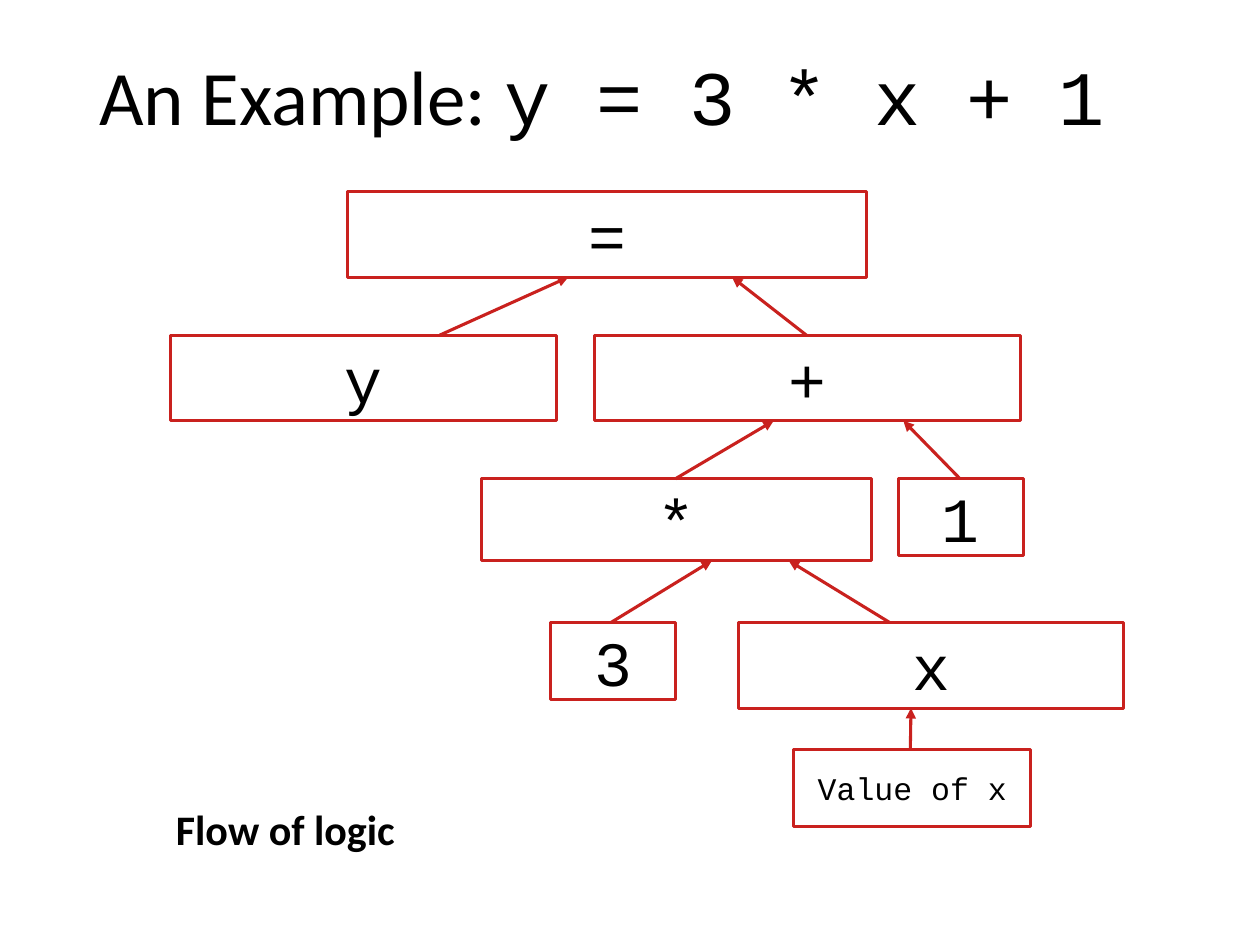
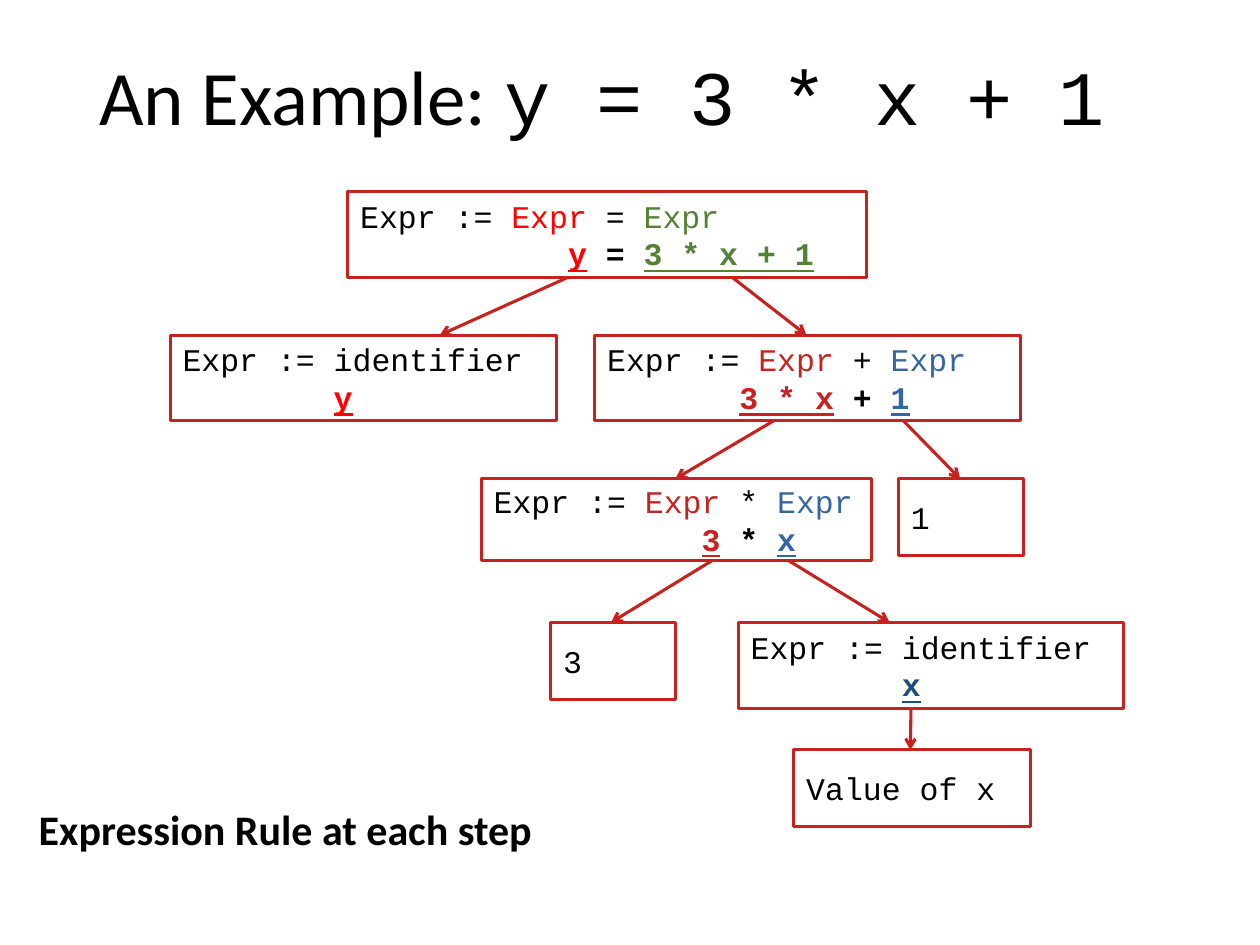
from dataclasses import dataclass

from lxml.etree import SubElement
from pptx import Presentation
from pptx.dml.color import RGBColor
from pptx.enum.shapes import MSO_CONNECTOR, MSO_SHAPE
from pptx.enum.text import MSO_ANCHOR as Anchor, PP_ALIGN as Align
from pptx.oxml.ns import qn
from pptx.util import Pt

BLACK = RGBColor(0x00, 0x00, 0x00)
WHITE = RGBColor(0xFF, 0xFF, 0xFF)
CRIMSON = RGBColor(0xC9, 0x21, 0x1E)
RED = RGBColor(0xFF, 0x00, 0x00)
GREEN = RGBColor(0x54, 0x82, 0x35)
BLUE = RGBColor(0x34, 0x65, 0xA4)
NAVY = RGBColor(0x1F, 0x4E, 0x79)

SANS, MONO = "Calibri", "Courier New"
CODE_SIZE, SYMBOL_SIZE = 18, 36
CHAR_WIDTH = 0.6 * CODE_SIZE  # advance of one monospaced letter
LINE_WIDTH = Pt(1.75)
FIRST_ROW, ROW_PITCH = 109.44, 82.08


@dataclass(frozen=True)
class Span:
    text: str
    color: RGBColor = BLACK


@dataclass(frozen=True)
class Line:
    """A line of code; a match is bold, with its coloured parts underlined."""
    spans: tuple[Span, ...]
    indent: int = 0  # in letters
    match: bool = False


@dataclass(frozen=True)
class Node:
    left: float
    top: float
    width: float
    height: float
    symbol: str
    rule: tuple[Line, ...]
    symbol_size: int = SYMBOL_SIZE

    @property
    def bottom(self) -> float:
        return self.top + self.height


@dataclass(frozen=True)
class Edge:
    parent: str
    child: str
    parent_x: float
    child_x: float


@dataclass(frozen=True)
class TreeSlide:
    caption: str
    show_rules: bool
    arrow_tag: str
    arrow_type: str


def row(index: int) -> float:
    return FIRST_ROW + index * ROW_PITCH


def plain(text: str) -> tuple[Line, ...]:
    return (Line((Span(text),)),)


def identifier(name: str, color: RGBColor) -> tuple[Line, ...]:
    return (*plain("Expr := identifier"),
            Line((Span(name, color),), indent=8, match=True))


def binary(left: str, op: str, right: str, indent: int,
           left_color: RGBColor, right_color: RGBColor) -> tuple[Line, ...]:
    """Rule for a binary operator, above the text that it matches."""
    def operands(first: str, second: str) -> tuple[Span, ...]:
        return (Span(first, left_color), Span(f" {op} "),
                Span(second, right_color))
    return (Line((Span("Expr := "), *operands("Expr", "Expr"))),
            Line(operands(left, right), indent, match=True))


# Syntax tree
NODES = {
    "assign": Node(198.72, row(0), 296.64, 48.96, "=",
                   binary("y", "=", "3 * x + 1", 11, RED, GREEN)),
    "y": Node(97.2, row(1), 220.68, 48.96, "y", identifier("y", RED)),
    "add": Node(339.84, row(1), 243.36, 48.96, "+",
                binary("3 * x", "+", "1", 7, CRIMSON, BLUE)),
    "multiply": Node(275.04, row(2), 223.2, 46.8, "*",
                     binary("3", "*", "x", 11, CRIMSON, BLUE)),
    "one": Node(513.36, row(2), 71.28, 43.92, "1", plain("1")),
    "three": Node(314.64, row(3), 71.28, 43.92, "3", plain("3")),
    "x": Node(421.92, row(3), 220.32, 48.96, "x", identifier("x", NAVY)),
    "value": Node(453.6, 428.4, 135.36, 43.92, "Value of x",
                  plain("Value of x"), CODE_SIZE),
}
EDGES = (
    Edge("assign", "y", 324.72, 251.28),
    Edge("assign", "add", 418.32, 460.8),
    Edge("add", "multiply", 442.08, 385.92),
    Edge("add", "one", 516.24, 548.64),
    Edge("multiply", "three", 406.8, 349.2),
    Edge("multiply", "x", 450.72, 508.32),
    Edge("x", "value", 520.56, 520.2),
)
SLIDES = (
    TreeSlide("Flow of logic", False, "a:headEnd", "triangle"),
    TreeSlide("Expression Rule at each step", True, "a:tailEnd", "arrow"),
)


def add_text_box(s, left: float, top: float, width: float, height: float,
                 anchor: Anchor):
    """Add a wrapping text box and return its first paragraph."""
    tf = s.shapes.add_textbox(Pt(left), Pt(top), Pt(width), Pt(height)).text_frame
    tf.word_wrap = True
    tf.vertical_anchor = anchor
    p = tf.paragraphs[0]
    p.line_spacing = 0.9
    return p


def add_title(s) -> None:
    p = add_text_box(s, 49.68, 5.04, 620.64, 104.4, Anchor.MIDDLE)
    p.font.size = Pt(44)
    p.font.color.rgb = BLACK
    for text, face in (("An Example: ", SANS), ("y = 3 * x + 1", MONO)):
        r = p.add_run()
        r.text = text
        r.font.name = face


def add_caption(s, text: str) -> None:
    p = add_text_box(s, 10.08, 453.6, 306, 38.16, Anchor.BOTTOM)
    p.text = text
    p.alignment = Align.CENTER
    p.space_before = Pt(10)
    p.font.name, p.font.size, p.font.bold = SANS, Pt(24), True
    p.font.color.rgb = BLACK


def add_node(s, node: Node, show_rule: bool) -> None:
    sp = s.shapes.add_shape(MSO_SHAPE.RECTANGLE, Pt(node.left), Pt(node.top),
                            Pt(node.width), Pt(node.height))
    sp.shadow.inherit = False
    sp.fill.solid()
    sp.fill.fore_color.rgb = WHITE
    sp.line.color.rgb = CRIMSON
    sp.line.width = LINE_WIDTH
    tf = sp.text_frame
    tf.word_wrap = True
    tf.vertical_anchor = Anchor.MIDDLE
    lines = node.rule if show_rule else plain(node.symbol)
    for i, line in enumerate(lines):
        p = tf.add_paragraph() if i else tf.paragraphs[0]
        p.alignment = Align.LEFT if show_rule else Align.CENTER
        p.font.name = MONO
        p.font.size = Pt(CODE_SIZE if show_rule else node.symbol_size)
        p.font.bold = line.match
        if line.indent:
            pPr = p._p.get_or_add_pPr()
            pPr.set("marL", str(Pt(line.indent * CHAR_WIDTH)))
            pPr.set("indent", "0")
        for span in line.spans:
            r = p.add_run()
            r.text = span.text
            r.font.color.rgb = span.color
            r.font.underline = line.match and span.color != BLACK


def add_edge(s, edge: Edge, arrow_tag: str, arrow_type: str) -> None:
    c = s.shapes.add_connector(
        MSO_CONNECTOR.STRAIGHT,
        Pt(edge.parent_x), Pt(NODES[edge.parent].bottom),
        Pt(edge.child_x), Pt(NODES[edge.child].top))
    c.line.color.rgb = CRIMSON
    c.line.width = LINE_WIDTH
    SubElement(c.line._get_or_add_ln(), qn(arrow_tag), type=arrow_type)
    SubElement(c._element.spPr, qn("a:effectLst"))


def main() -> None:
    prs = Presentation()
    prs.slide_width, prs.slide_height = Pt(720), Pt(540)
    for tree in SLIDES:
        s = prs.slides.add_slide(prs.slide_layouts[6])
        add_title(s)
        add_caption(s, tree.caption)
        for node in NODES.values():
            add_node(s, node, tree.show_rules)
        for edge in EDGES:
            add_edge(s, edge, tree.arrow_tag, tree.arrow_type)
    prs.save("out.pptx")


if __name__ == "__main__":
    main()
